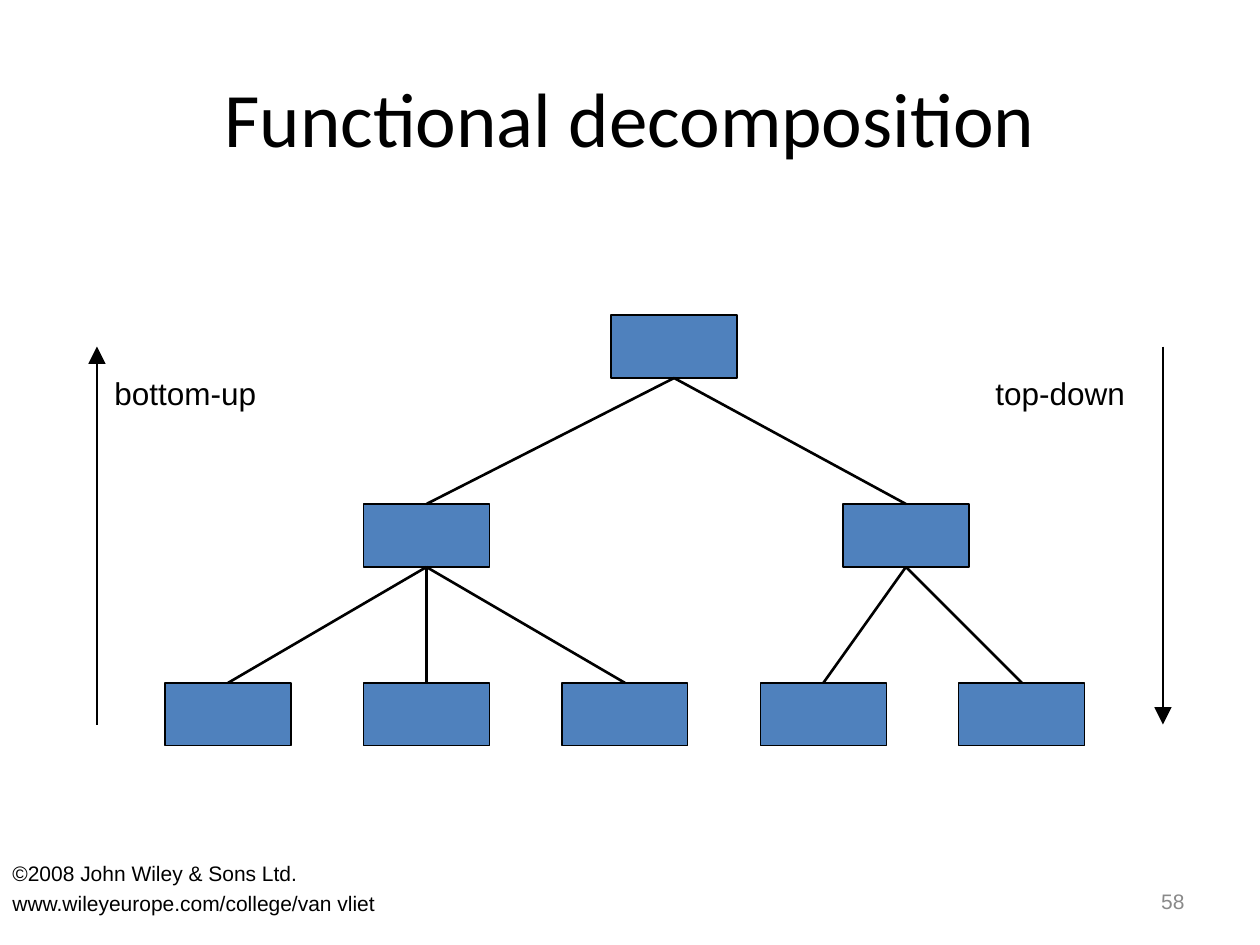
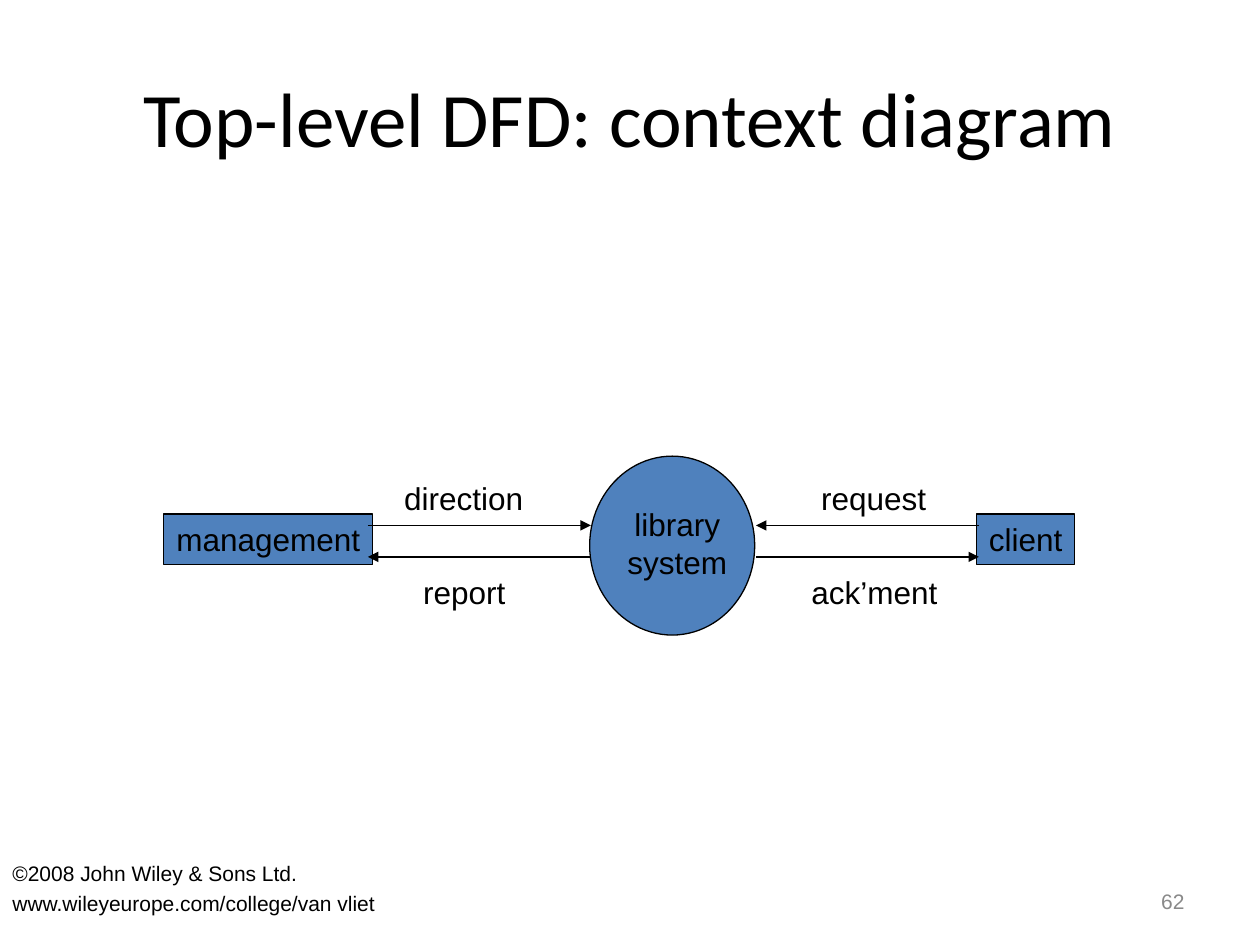
from dataclasses import dataclass
from typing import Optional

from lxml.etree import SubElement
from pptx import Presentation
from pptx.dml.color import RGBColor
from pptx.enum.shapes import MSO_CONNECTOR as Connector, MSO_SHAPE as Preset
from pptx.enum.text import MSO_ANCHOR as Anchor, MSO_AUTO_SIZE as AutoSize, PP_ALIGN as Align
from pptx.oxml.ns import qn
from pptx.util import Inches, Pt


# Theme shared by both slides
@dataclass(frozen=True)
class Theme:
    ink: RGBColor = RGBColor(0x00, 0x00, 0x00)
    paper: RGBColor = RGBColor(0xFF, 0xFF, 0xFF)
    block: RGBColor = RGBColor(0x4F, 0x81, 0xBD)
    muted: RGBColor = RGBColor(0x89, 0x89, 0x89)
    title_font: str = "Calibri"
    body_font: str = "Arial"
    title_size: int = 44
    label_size: int = 18
    small_size: int = 12
    thin: float = 0.75
    thick: float = 1.5


THEME = Theme()
FOOTER = ("©2008 John Wiley & Sons Ltd.", "www.wileyeurope.com/college/van vliet")


# Repeated elements, lengths in inches
@dataclass(frozen=True)
class Area:
    left: float
    top: float
    width: float
    height: float

    @property
    def center(self) -> float:
        return self.left + self.width / 2

    @property
    def bottom(self) -> float:
        return self.top + self.height

    def lengths(self) -> list:
        return [Inches(n) for n in (self.left, self.top, self.width, self.height)]


@dataclass(frozen=True)
class Style:
    size: int = THEME.label_size
    font: str = THEME.body_font
    color: RGBColor = THEME.ink
    align: Align = Align.CENTER
    anchor: Anchor = Anchor.TOP
    wrap: bool = False
    gap: int = 0
    side_inset: float = 0.05


@dataclass(frozen=True)
class Label:
    area: Area
    lines: tuple
    style: Style = Style()


@dataclass(frozen=True)
class Line:
    start: tuple
    end: tuple
    weight: float = THEME.thin
    arrow: Optional[str] = "med"


@dataclass(frozen=True)
class Block:
    area: Area
    text: Optional[str] = None
    preset: Preset = Preset.RECTANGLE


TITLE_STYLE = Style(THEME.title_size, THEME.title_font, anchor=Anchor.MIDDLE, wrap=True,
                    side_inset=0.1)
NUMBER_STYLE = Style(THEME.small_size, color=THEME.muted, align=Align.RIGHT,
                     anchor=Anchor.MIDDLE, wrap=True, side_inset=0.1)
FOOTER_STYLE = Style(THEME.small_size, align=Align.LEFT, wrap=True, gap=3, side_inset=0.1)


# Drawing functions
def write(frame, lines: tuple, style: Style) -> None:
    frame.word_wrap = style.wrap
    frame.auto_size = AutoSize.NONE
    frame.vertical_anchor = style.anchor
    frame.margin_left = frame.margin_right = Inches(style.side_inset)
    for index, text in enumerate(lines):
        para = frame.add_paragraph() if index else frame.paragraphs[0]
        para.alignment = style.align
        if index and style.gap:
            para.space_before = Pt(style.gap)
        span = para.add_run()
        span.text = text
        span.font.size = Pt(style.size)
        span.font.name = style.font
        span.font.color.rgb = style.color


def draw_label(shapes, label: Label) -> None:
    box = shapes.add_textbox(*label.area.lengths())
    write(box.text_frame, label.lines, label.style)


def draw_block(shapes, block: Block) -> None:
    shape = shapes.add_shape(block.preset, *block.area.lengths())
    shape.shadow.inherit = False
    shape.fill.solid()
    shape.fill.fore_color.rgb = THEME.block
    shape.line.color.rgb = THEME.ink
    shape.line.width = Pt(THEME.thin)
    if block.text:
        write(shape.text_frame, (block.text,), Style())


def draw_line(shapes, line: Line) -> None:
    ends = [Inches(n) for n in (*line.start, *line.end)]
    connector = shapes.add_connector(Connector.STRAIGHT, *ends)
    connector.line.color.rgb = THEME.ink
    connector.line.width = Pt(line.weight)
    properties = connector._element.spPr
    if line.arrow:
        SubElement(properties.find(qn("a:ln")), qn("a:tailEnd"),
                   type="triangle", w=line.arrow, len=line.arrow)
    SubElement(properties, qn("a:effectLst"))


def add_page(deck, title: str, number: int):
    page = deck.slides.add_slide(deck.slide_layouts[6])
    page.background.fill.solid()
    page.background.fill.fore_color.rgb = THEME.paper
    for label in (
        Label(Area(0.5, 0.3, 9, 1.25), (title,), TITLE_STYLE),
        Label(Area(7.17, 6.95, 2.33, 0.4), (str(number),), NUMBER_STYLE),
        Label(Area(0, 6.78, 6.58, 0.72), FOOTER, FOOTER_STYLE),
    ):
        draw_label(page.shapes, label)
    return page.shapes


# Slide: tree of functions
def build_decomposition(deck) -> None:
    shapes = add_page(deck, "Functional decomposition", 58)

    def node(left: float, top: float) -> Area:
        return Area(left, top, 1, 0.5)

    first, last, count = 1.31, 7.61, 5
    step = (last - first) / (count - 1)
    leaves = [node(first + step * index, 5.42) for index in range(count)]
    root = node(4.85, 2.5)
    left_branch, right_branch = node(leaves[1].left, 4), node(6.69, 4)
    children = (
        (root, [left_branch, right_branch]),
        (left_branch, leaves[:3]),
        (right_branch, leaves[3:]),
    )
    for area in (root, left_branch, right_branch, *leaves):
        draw_block(shapes, Block(area))
    for parent, group in children:
        for child in group:
            draw_line(shapes, Line((parent.center, parent.bottom), (child.center, child.top),
                                   THEME.thick, arrow=None))

    # Reading directions
    high, low = 2.75, 5.75
    draw_line(shapes, Line((0.77, low), (0.77, high), arrow="lg"))
    draw_line(shapes, Line((9.23, high), (9.23, low), arrow="lg"))
    draw_label(shapes, Label(Area(0.81, 2.92, 1.32, 0.4), ("bottom-up",)))
    draw_label(shapes, Label(Area(7.8, 2.92, 1.23, 0.4), ("top-down",)))


# Slide: system and its surroundings
def build_context(deck) -> None:
    shapes = add_page(deck, "Top-level DFD: context diagram", 62)
    draw_block(shapes, Block(Area(1.3, 4.08, 1.66, 0.4), "management"))
    draw_block(shapes, Block(Area(7.75, 4.08, 0.78, 0.4), "client"))
    system = shapes.add_group_shape().shapes
    draw_block(system, Block(Area(4.68, 3.62, 1.31, 1.42), preset=Preset.OVAL))
    draw_label(system, Label(Area(4.88, 3.96, 0.99, 0.7), ("library", "system")))

    # Flows: text, label left and width, start and end across
    upper = (
        ("direction", 3.11, 1.14, 2.92, 4.69),
        ("request", 6.42, 1.03, 7.77, 6),
    )
    lower = (
        ("report", 3.26, 0.85, 4.69, 2.92),
        ("ack’ment", 6.34, 1.2, 6, 7.77),
    )
    for flows, line_top, label_top in ((upper, 4.17, 3.75), (lower, 4.42, 4.5)):
        for text, left, width, start, end in flows:
            draw_line(shapes, Line((start, line_top), (end, line_top)))
            draw_label(shapes, Label(Area(left, label_top, width, 0.4), (text,)))


def main() -> None:
    deck = Presentation()
    deck.slide_width, deck.slide_height = Inches(10), Inches(7.5)
    build_decomposition(deck)
    build_context(deck)
    deck.save("out.pptx")


if __name__ == "__main__":
    main()
